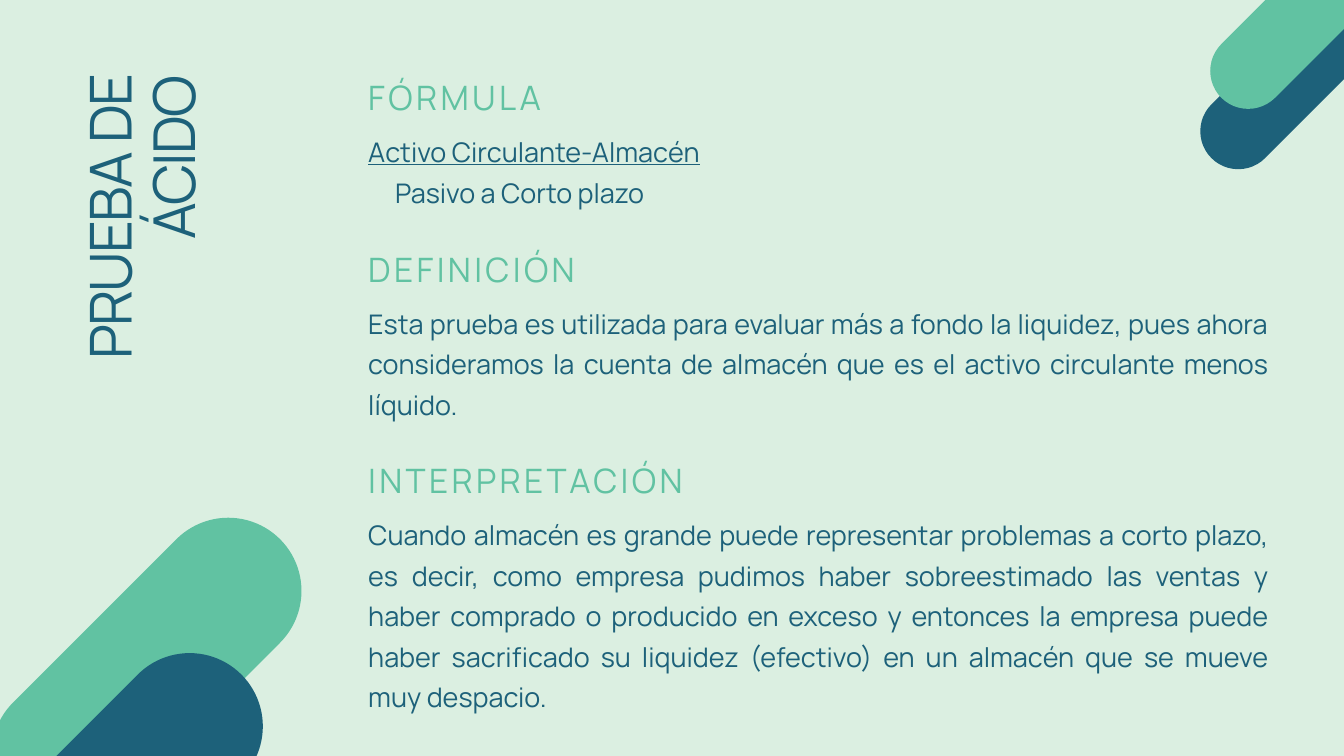
from dataclasses import dataclass

from pptx import Presentation
from pptx.dml.color import RGBColor
from pptx.enum.shapes import MSO_SHAPE
from pptx.enum.text import MSO_ANCHOR, MSO_AUTO_SIZE, PP_ALIGN
from pptx.util import Inches, Pt


@dataclass(frozen=True)
class Theme:
    font: str = "Manrope"
    background: RGBColor = RGBColor(0xDB, 0xEF, 0xE1)
    green: RGBColor = RGBColor(0x61, 0xC2, 0xA2)
    blue: RGBColor = RGBColor(0x1D, 0x61, 0x7A)
    title_size: float = 61.9
    heading_size: float = 36
    body_size: float = 28.9


@dataclass(frozen=True)
class Line:
    text: str
    underline: bool = False
    indent: float = 0


@dataclass(frozen=True)
class Section:
    heading: str
    lines: tuple[Line, ...]
    rows: int  # rows of text once wrapped


@dataclass(frozen=True)
class Capsule:
    center_x: float
    center_y: float
    length: float
    thickness: float
    color: RGBColor


THEME = Theme()

SECTIONS = (
    Section("FÓRMULA", (
        Line("Activo Circulante-Almacén", underline=True),
        Line("Pasivo a Corto plazo", indent=0.4),
    ), rows=2),
    Section("DEFINICIÓN", (
        Line("Esta prueba es utilizada para evaluar más a fondo la liquidez, "
             "pues ahora consideramos la cuenta de almacén que es el activo "
             "circulante menos líquido."),
    ), rows=3),
    Section("INTERPRETACIÓN", (
        Line("Cuando almacén es grande puede representar problemas a corto "
             "plazo, es decir, como empresa pudimos haber sobreestimado las "
             "ventas y haber comprado o producido en exceso y entonces la "
             "empresa puede haber sacrificado su liquidez (efectivo) en un "
             "almacén que se mueve muy despacio."),
    ), rows=5),
)

CAPSULES = (
    # Bottom left
    Capsule(2.18, 10.01, 5.62, 2.18, THEME.green),
    Capsule(1.16, 12.47, 6.88, 2.18, THEME.blue),
    # Top right
    Capsule(19.18, 1.2, 3.26, 1.13, THEME.blue),
    Capsule(19.13, 0.5, 2.7, 1.13, THEME.green),
)

# Text column
LEFT, TOP, WIDTH = 5.48, 1.1, 13.4
HEADING_HEIGHT, BODY_OFFSET, SECTION_GAP = 0.62, 0.8, 0.6
ROW_HEIGHT, ROW_TRIM = 0.6, 0.05


def write_text(sp, lines: tuple[Line, ...], *, size: float, color: RGBColor,
               leading: float, align: PP_ALIGN = PP_ALIGN.JUSTIFY,
               tracking: float = 0) -> None:
    """Fill a shape with formatted paragraphs, without inner margins."""
    tf = sp.text_frame
    tf.word_wrap = True
    tf.auto_size = MSO_AUTO_SIZE.NONE
    tf.vertical_anchor = MSO_ANCHOR.TOP
    tf.margin_left = tf.margin_right = tf.margin_top = tf.margin_bottom = 0
    for i, line in enumerate(lines):
        p = tf.paragraphs[0] if i == 0 else tf.add_paragraph()
        p.alignment = align
        p.line_spacing = Pt(leading)
        if line.indent:
            p._p.get_or_add_pPr().set("marL", str(Inches(line.indent)))
        r = p.add_run()
        r.text = line.text
        r.font.name = THEME.font
        r.font.size = Pt(size)
        r.font.color.rgb = color
        if line.underline:
            r.font.underline = True
        if tracking:
            r._r.get_or_add_rPr().set("spc", str(round(tracking * 100)))


def add_title(s, text: str) -> None:
    sp = s.shapes.title
    sp.left, sp.top = Inches(-0.66), Inches(2.97)
    sp.width, sp.height = Inches(5.6), Inches(1.91)
    sp.rotation = 270
    write_text(sp, (Line(text),), size=THEME.title_size, color=THEME.blue,
               leading=68.1, align=PP_ALIGN.RIGHT, tracking=-1.9)


def add_section(s, section: Section, top: float) -> float:
    """Draw a heading and its body; return the bottom of the body."""
    heading = s.shapes.add_textbox(Inches(LEFT), Inches(top), Inches(WIDTH),
                                   Inches(HEADING_HEIGHT))
    write_text(heading, (Line(section.heading),), size=THEME.heading_size,
               color=THEME.green, leading=46.8, tracking=3.6)

    body_top = top + BODY_OFFSET
    height = section.rows * ROW_HEIGHT - ROW_TRIM
    body = s.shapes.add_textbox(Inches(LEFT), Inches(body_top), Inches(WIDTH),
                                Inches(height))
    write_text(body, section.lines, size=THEME.body_size, color=THEME.blue,
               leading=43.4)
    return body_top + height


def add_capsule(s, c: Capsule) -> None:
    sp = s.shapes.add_shape(
        MSO_SHAPE.ROUNDED_RECTANGLE,
        Inches(c.center_x - c.length / 2), Inches(c.center_y - c.thickness / 2),
        Inches(c.length), Inches(c.thickness))
    sp.adjustments[0] = 0.5
    sp.rotation = 315
    sp.shadow.inherit = False
    sp.fill.solid()
    sp.fill.fore_color.rgb = c.color
    sp.line.fill.background()


def main() -> None:
    prs = Presentation()
    prs.slide_width, prs.slide_height = Inches(20), Inches(11.25)
    s = prs.slides.add_slide(prs.slide_layouts[5])
    s.background.fill.solid()
    s.background.fill.fore_color.rgb = THEME.background

    # Sections stacked down the text column
    top = TOP
    for section in SECTIONS:
        top = add_section(s, section, top) + SECTION_GAP

    # Vertical title and corner decoration
    add_title(s, "PRUEBA DE ÁCIDO")
    for capsule in CAPSULES:
        add_capsule(s, capsule)

    prs.save("out.pptx")


if __name__ == "__main__":
    main()
